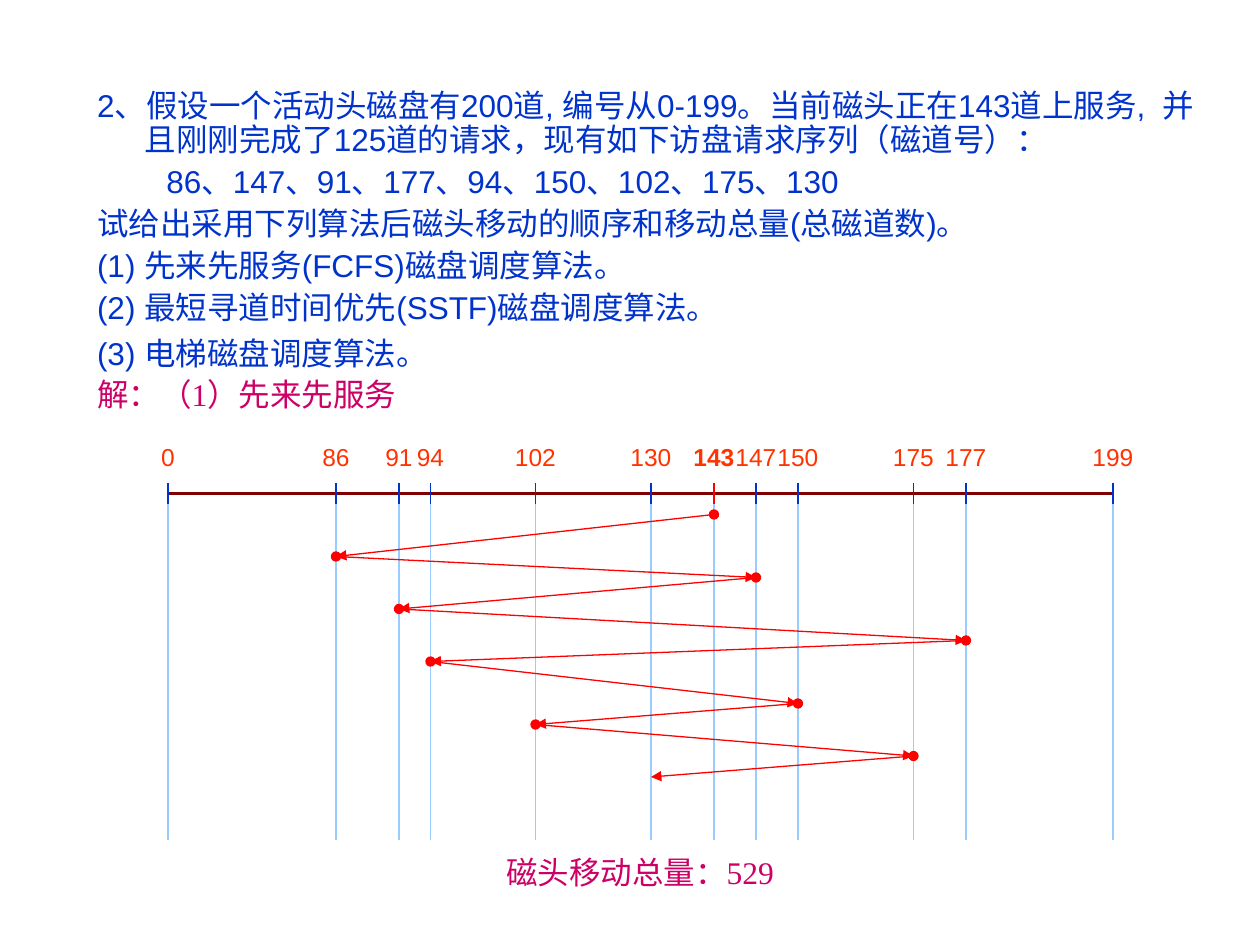
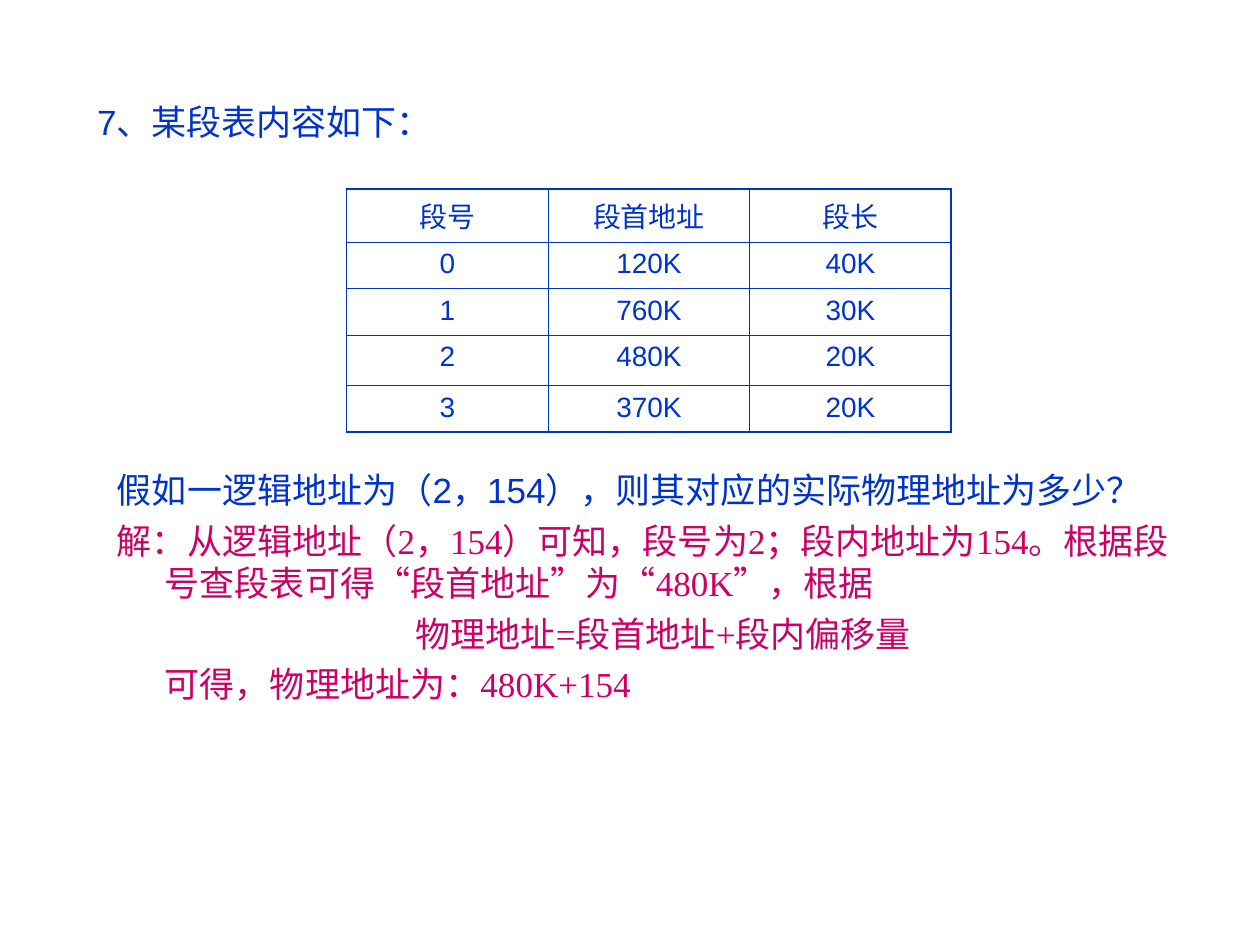
from pptx import Presentation
from pptx.dml.color import RGBColor
from pptx.enum.lang import MSO_LANGUAGE_ID
from pptx.enum.shapes import MSO_CONNECTOR
from pptx.enum.text import MSO_ANCHOR, MSO_AUTO_SIZE, PP_ALIGN
from pptx.oxml.ns import qn
from pptx.util import Inches, Pt
from lxml import etree

STRAIGHT = MSO_CONNECTOR.STRAIGHT
CHINESE = MSO_LANGUAGE_ID.SIMPLIFIED_CHINESE
TOP, MIDDLE = MSO_ANCHOR.TOP, MSO_ANCHOR.MIDDLE
FIXED = MSO_AUTO_SIZE.NONE
CENTER = PP_ALIGN.CENTER

BLUE = RGBColor(0x00, 0x33, 0xCC)
PINK = RGBColor(0xCC, 0x00, 0x66)
ORANGE = RGBColor(0xFF, 0x33, 0x00)
RED = RGBColor(0xFF, 0x00, 0x00)
MAROON = RGBColor(0x80, 0x00, 0x00)
SKY = RGBColor(0x99, 0xCC, 0xFF)

SANS, SERIF = "Arial", "Times New Roman"
HANG = (0.38, -0.38)
UNIT = 1 / 12
AXIS = 47
HEAD = 143
LABEL = 0.56
TRACKS = {0: 16, 86: 32, 91: 38, 94: 41, 102: 51, 130: 62, 143: 68,
          147: 72, 150: 76, 175: 87, 177: 92, 199: 106}
MOVES = [(143, 49), (86, 53), (147, 55), (91, 58), (177, 61),
         (94, 63), (150, 67), (102, 69), (175, 72), (130, 74)]
SEGMENTS = [("段号", "段首地址", "段长"),
            ("0", "120K", "40K"),
            ("1", "760K", "30K"),
            ("2", "480K", "20K"),
            ("3", "370K", "20K")]


def add_run(para, text, size, color, face, bold=False):
    run = para.add_run()
    run.text = text
    font = run.font
    font.size, font.name, font.bold = Pt(size), face, bold
    font.color.rgb = color
    font.language_id = CHINESE


def set_indent(para, left, first):
    props = para._p.get_or_add_pPr()
    props.set("marL", str(Inches(left)))
    props.set("indent", str(Inches(first)))
    props.set("hangingPunct", "0")
    etree.SubElement(props, qn("a:buNone"))


def fill_text(frame, lines, size, space=1.0):
    frame.word_wrap = True
    frame.auto_size = FIXED
    frame.vertical_anchor = TOP
    for index, (text, color, face, indent, before) in enumerate(lines):
        para = frame.add_paragraph() if index else frame.paragraphs[0]
        para.line_spacing = space
        para.space_before = Pt(before)
        set_indent(para, *indent)
        add_run(para, text, size, color, face)


def add_body(deck, box):
    slide = deck.slides.add_slide(deck.slide_layouts[1])
    title = slide.shapes.title._element
    title.getparent().remove(title)
    body = slide.placeholders[1]
    body.left, body.top, body.width, body.height = map(Inches, box)
    return slide, body.text_frame


def add_label(slide, box, text, size, color, face, bold=False):
    frame = slide.shapes.add_textbox(*map(Inches, box)).text_frame
    frame.word_wrap = False
    frame.vertical_anchor = MIDDLE
    para = frame.paragraphs[0]
    para.alignment = CENTER
    add_run(para, text, size, color, face, bold)


def add_line(slide, start, end, color, width=0.75, arrow=False):
    ends = [Inches(n * UNIT) for n in (*start, *end)]
    line = slide.shapes.add_connector(STRAIGHT, *ends)
    line.line.color.rgb = color
    line.line.width = Pt(width)
    props = line._element.spPr
    if arrow:
        stroke = props.find(qn("a:ln"))
        etree.SubElement(stroke, qn("a:headEnd"), type="oval")
        etree.SubElement(stroke, qn("a:tailEnd"), type="triangle")
    etree.SubElement(props, qn("a:effectLst"))


def add_track(slide, track, x):
    active = track == HEAD
    add_line(slide, (x, 46), (x, 48), RED if active else BLUE)
    add_label(slide, (x * UNIT - LABEL / 2, 3.5, LABEL, 0.25), str(track),
              14, ORANGE, SANS, active)
    add_line(slide, (x, 48), (x, 80), SKY)


def set_border(cell, side, width):
    props = cell._tc.get_or_add_tcPr()
    edge = etree.SubElement(props, qn("a:ln" + side), w=str(Pt(width)))
    fill = etree.SubElement(edge, qn("a:solidFill"))
    etree.SubElement(fill, qn("a:srgbClr"), val=str(BLUE))


def add_grid(slide, rows, left, top, widths, heights):
    table = slide.shapes.add_table(
        len(rows), len(widths), Inches(left), Inches(top),
        Inches(sum(widths)), Inches(sum(heights))).table
    table.first_row = table.horz_banding = False
    for col, width in zip(table.columns, widths):
        col.width = Inches(width)
    for row, height in zip(table.rows, heights):
        row.height = Inches(height)
    for r, row in enumerate(rows):
        for c, text in enumerate(row):
            cell = table.cell(r, c)
            outer = {"L": c == 0, "R": c == len(row) - 1,
                     "T": r == 0, "B": r == len(rows) - 1}
            for side, edge in outer.items():
                set_border(cell, side, 1.08 if edge else 0.45)
            cell.fill.background()
            para = cell.text_frame.paragraphs[0]
            para.alignment = CENTER
            para.space_before = Pt(4)
            add_run(para, text, 16, BLUE, SANS)


def build_disk(deck):
    slide, frame = add_body(deck, (0.67, 0.67, 9.01, 2.75))
    fill_text(frame, [
        ("2、假设一个活动头磁盘有200道, 编号从0-199。当前磁头正在143道上服务,  "
         "并且刚刚完成了125道的请求，现有如下访盘请求序列（磁道号）：",
         BLUE, SANS, HANG, 4.5),
        ("86、147、91、177、94、150、102、175、130", BLUE, SANS, (0.55, 0), 4.5),
        ("试给出采用下列算法后磁头移动的顺序和移动总量(总磁道数)。",
         BLUE, SANS, HANG, 4.5),
        ("(1) 先来先服务(FCFS)磁盘调度算法。", BLUE, SANS, HANG, 4.5),
        ("(2) 最短寻道时间优先(SSTF)磁盘调度算法。", BLUE, SANS, HANG, 4.5),
        ("(3) 电梯磁盘调度算法。", BLUE, SANS, HANG, 6.5),
        ("解：（1）先来先服务", PINK, SERIF, HANG, 4.5),
    ], 18, 0.9)
    add_line(slide, (TRACKS[0], AXIS), (TRACKS[199], AXIS), MAROON, 2.25)
    for track, x in TRACKS.items():
        add_track(slide, track, x)
    for (here, y), (there, next_y) in zip(MOVES, MOVES[1:]):
        add_line(slide, (TRACKS[here], y), (TRACKS[there], next_y),
                 RED, arrow=True)
    add_label(slide, (2.33, 6.67, 5.5, 0.5), "磁头移动总量：529",
              18, PINK, SERIF)


def build_segment(deck):
    slide, frame = add_body(deck, (0.67, 0.75, 9.08, 0.58))
    fill_text(frame, [("7、某段表内容如下：", BLUE, SANS, HANG, 5)], 20)
    add_grid(slide, SEGMENTS, 2.75, 1.5, [1.6] * 3,
             [0.37, 0.37, 0.37, 0.4, 0.37])
    box = slide.shapes.add_textbox(*map(Inches, (0.83, 3.67, 8.58, 2.75)))
    fill_text(box.text_frame, [
        ("假如一逻辑地址为（2，154），则其对应的实际物理地址为多少？",
         BLUE, SANS, HANG, 5),
        ("解：从逻辑地址（2，154）可知，段号为2；段内地址为154。"
         "根据段号查段表可得“段首地址”为“480K”，根据",
         PINK, SERIF, HANG, 5),
        ("物理地址=段首地址+段内偏移量", PINK, SERIF, (2.37, 0), 5),
        ("可得，物理地址为：480K+154", PINK, SERIF, (0.38, 0), 5),
    ], 20)


def main():
    deck = Presentation()
    deck.slide_width, deck.slide_height = Inches(10), Inches(7.5)
    build_disk(deck)
    build_segment(deck)
    deck.save("out.pptx")


if __name__ == "__main__":
    main()
